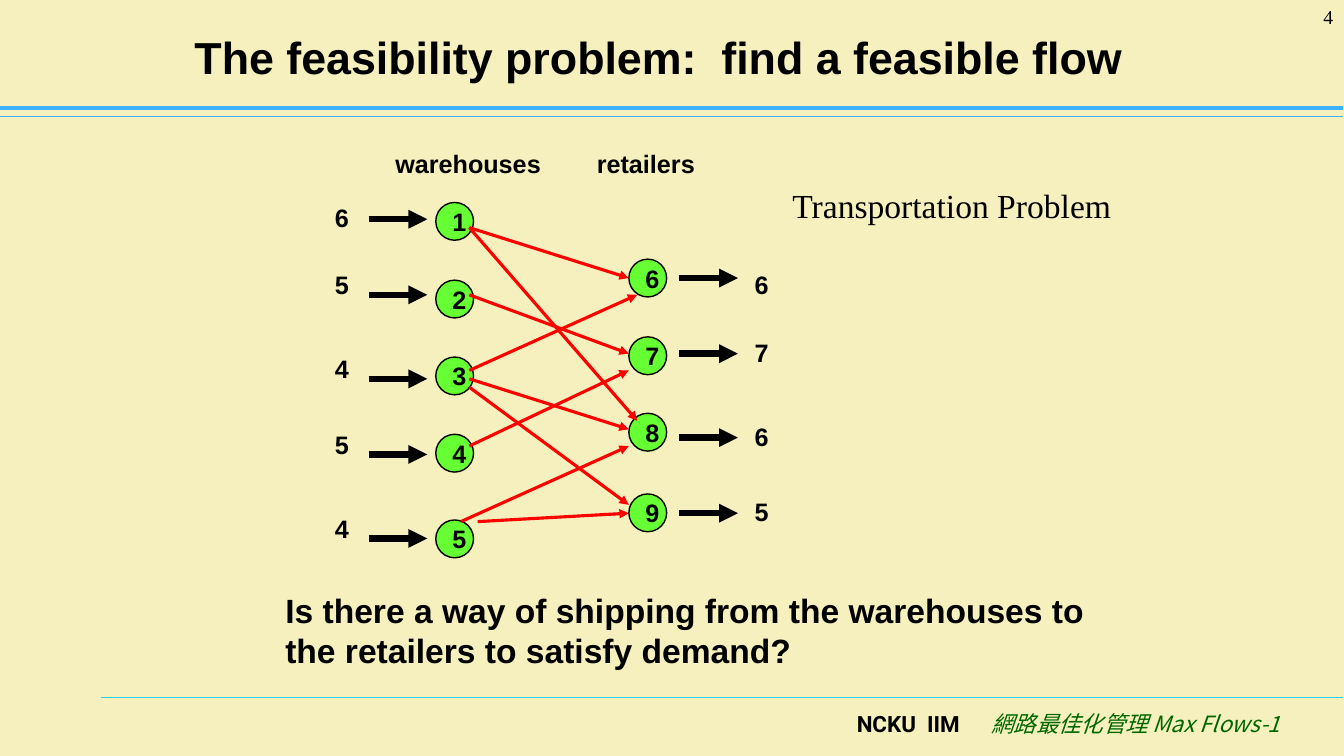
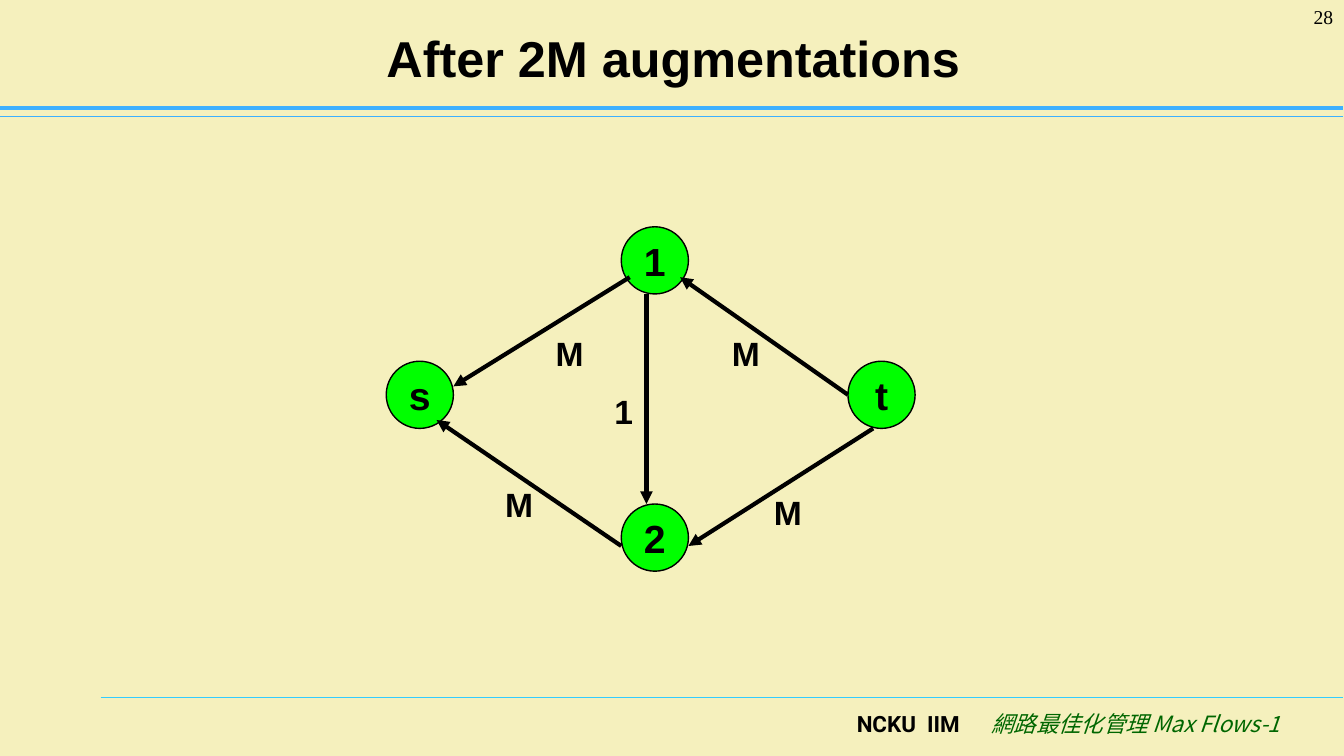
from dataclasses import dataclass

from lxml import etree
from pptx import Presentation
from pptx import util as u
from pptx.dml.color import RGBColor
from pptx.enum import shapes, text
from pptx.oxml.ns import qn

CELL = u.Inches(1) / 12  # the slide is a grid of 160 columns and 90 rows
COLUMNS = 160

CREAM = RGBColor(0xF5, 0xF0, 0xBD)
BLACK = RGBColor(0, 0, 0)
RED = RGBColor(0xFF, 0, 0)
LIME = RGBColor(0x66, 0xFF, 0x33)
GREEN = RGBColor(0, 0xFF, 0)
DARK_GREEN = RGBColor(0, 0x66, 0)
SKY = RGBColor(0x33, 0xCC, 0xFF)
BLUE = RGBColor(0x3D, 0xB0, 0xFF)

LEFT, CENTER, RIGHT = (text.PP_ALIGN.LEFT, text.PP_ALIGN.CENTER,
                       text.PP_ALIGN.RIGHT)


def cells(*counts):
    return [round(count * CELL) for count in counts]


@dataclass
class Region:
    """Part of a page whose own grid starts at the given column and row."""
    page: object
    left: float = 0
    top: float = 0

    def place(self, column, row, *size):
        return cells(self.left + column, self.top + row, *size)


def write(frame, words, size=18, font="Arial", color=BLACK, bold=True,
          italic=False, align=LEFT, anchor=text.MSO_ANCHOR.TOP, wrap=True,
          insets=(1.2, 0.6, 1.2, 0.6)):
    frame.auto_size = text.MSO_AUTO_SIZE.NONE
    frame.word_wrap = wrap
    frame.vertical_anchor = anchor
    (frame.margin_left, frame.margin_top,
     frame.margin_right, frame.margin_bottom) = cells(*insets)
    para = frame.paragraphs[0]
    para.alignment = align
    span = para.add_run()
    span.text = words
    span.font.size = u.Pt(size)
    span.font.name = font
    span.font.bold = bold
    span.font.italic = italic
    span.font.color.rgb = color
    latin = span.font._element.find(qn("a:latin"))
    east_asian = etree.Element(qn("a:ea"), typeface=font)
    latin.addnext(east_asian)


def label(region, box, words, **style):
    shape = region.page.shapes.add_textbox(*region.place(*box))
    write(shape.text_frame, words, **style)
    return shape


def line(region, start, end, color, weight, arrow=True):
    connector = region.page.shapes.add_connector(
        shapes.MSO_CONNECTOR.STRAIGHT, *region.place(*start),
        *region.place(*end))
    connector.line.color.rgb = color
    connector.line.width = u.Pt(weight)
    if arrow:
        etree.SubElement(connector.line._get_or_add_ln(), qn("a:tailEnd"),
                         type="triangle")
    etree.SubElement(connector.element.spPr, qn("a:effectLst"))
    return connector


def node(region, column, row, diameter, name, fill, **style):
    circle = region.page.shapes.add_shape(
        shapes.MSO_SHAPE.OVAL,
        *region.place(column, row, diameter, diameter))
    circle.shadow.inherit = False
    circle.fill.solid()
    circle.fill.fore_color.rgb = fill
    circle.line.color.rgb = BLACK
    circle.line.width = u.Pt(1)
    write(circle.text_frame, name, align=CENTER,
          anchor=text.MSO_ANCHOR.MIDDLE, wrap=False, **style)


def furnish(layout, page):
    """Give the layout its background, rules and footer, drawn via a page."""
    layout.background.fill.solid()
    layout.background.fill.fore_color.rgb = CREAM
    for holder in list(layout.placeholders):
        if holder.placeholder_format.idx:
            holder.element.getparent().remove(holder.element)
    whole = Region(page)
    rules = [(12, 83, SKY, 0.75), (0, 13.9, BLUE, 0.75), (0, 12.85, BLUE, 2.5)]
    parts = [line(whole, (column, row), (COLUMNS, row), color, weight, False)
             for column, row, color, weight in rules]
    parts.append(label(whole, (90, 84, 25.5, 6), "NCKU  IIM", size=16,
                       font="Roboto", align=RIGHT))
    parts.append(label(whole, (114, 84, 39.7, 6), "網路最佳化管理 Max Flows-1",
                       size=16, font="Noto Sans CJK SC", color=DARK_GREEN,
                       bold=False, italic=True, align=RIGHT))
    for part in parts:
        layout.shapes.element.append(part.element)


def head(page, title, number, box, size):
    holder = page.shapes.title
    holder.left, holder.top, holder.width, holder.height = cells(*box)
    write(holder.text_frame, title, size=size, align=CENTER,
          anchor=text.MSO_ANCHOR.MIDDLE, insets=(0, 0, 0, 0))
    label(Region(page), (146.6, 0, 13.4, 6), number, size=14,
          font="Times New Roman", bold=False, align=RIGHT)


def shipping_network(region):
    diameter = 4.5
    stages = [
        ("warehouses", 6, 12, [(7, "1"), (16.25, "2"), (25.4, "3"),
                               (34.6, "4"), (44.8, "5")]),
        ("retailers", 30, 35, [(13.75, "6"), (23, "7"), (32.1, "8"),
                               (41.7, "9")]),
    ]
    for heading, heading_column, column, nodes in stages:
        label(region, (heading_column, 0, 20, 4.8), heading)
        for row, name in nodes:
            node(region, column, row, diameter, name, LIME,
                 insets=(1.1, 0, 0, 0))

    routes = [((16, 10), (35, 16)), ((16, 10), (36, 33)),
              ((16, 29), (35, 43)), ((16, 18), (35, 25)),
              ((16, 27), (36, 18)), ((16, 28), (35, 34)),
              ((16, 36), (35, 27)), ((17, 45), (35, 44)),
              ((15, 45), (35, 36))]
    for start, end in routes:
        line(region, start, end, RED, 2.25)

    # amount column, arrow column, then (amount, amount row, arrow row)
    flows = [
        (0, 4, [("6", 7, 9), ("5", 15, 18), ("4", 25, 28), ("5", 34, 37),
                ("4", 44, 47)]),
        (50, 41, [("6", 15, 16), ("7", 23, 25), ("6", 33, 35),
                  ("5", 42, 44)]),
    ]
    for amount_column, arrow_column, amounts in flows:
        for amount, amount_row, arrow_row in amounts:
            label(region, (amount_column, amount_row, 1.7, 3.6), amount,
                  insets=(0, 0, 0, 0), wrap=False)
            line(region, (arrow_column, arrow_row),
                 (arrow_column + 7, arrow_row), BLACK, 4.5)


def residual_network(region):
    for name, column, row in [("s", 0, 16), ("1", 28, 0), ("2", 28, 33),
                              ("t", 55, 16)]:
        node(region, column, row, 8, name, GREEN, size=28)
    arcs = [((58, 24), (36, 38), "M", (45, 31)),
            ((29, 6), (8, 19), "M", (19, 12)),
            ((28, 38), (6, 23), "M", (13, 30)),
            ((55, 20), (35, 6), "M", (40, 12)),
            ((31, 8), (31, 33), "1", (26, 19))]
    for start, end, capacity, corner in arcs:
        line(region, start, end, BLACK, 3)
        label(region, (*corner, 7, 6), capacity, size=24)


def feasibility_slide(page):
    head(page, "The feasibility problem:  find a feasible flow", "4",
         (20, 2.5, 117, 8.5), 32)
    shipping_network(Region(page, 39.9, 17.1))
    whole = Region(page)
    label(whole, (32.8, 69.6, 100, 10.8),
          "Is there a way of shipping from the warehouses to the retailers "
          "to satisfy demand?", size=24)
    label(whole, (93.2, 21.4, 40.4, 6), "Transportation Problem", size=24,
          font="Times New Roman", bold=False, wrap=False)


def augmentation_slide(page):
    head(page, "After 2M augmentations", "28", (8.2, 1.6, 144, 10.4), 36)
    residual_network(Region(page, 46, 27))


def main():
    deck = Presentation()
    deck.slide_width, deck.slide_height = u.Inches(13.34), u.Inches(7.5)
    layout = deck.slide_layouts.get_by_name("Title Only")
    pages = [deck.slides.add_slide(layout) for _ in range(2)]
    furnish(layout, pages[0])
    feasibility_slide(pages[0])
    augmentation_slide(pages[1])
    deck.save("out.pptx")


if __name__ == "__main__":
    main()
